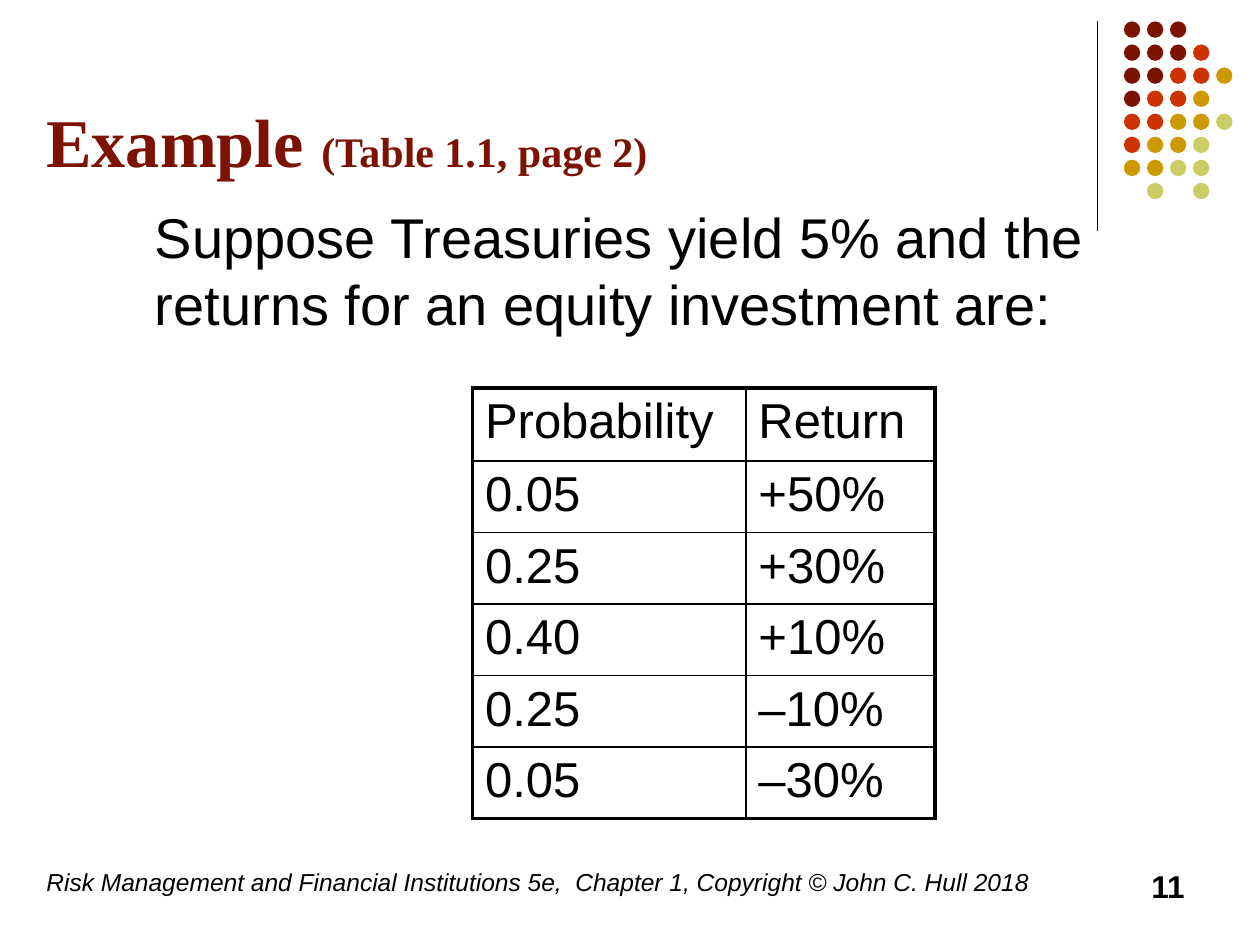
from dataclasses import dataclass

from lxml.etree import SubElement
from pptx import Presentation
from pptx.dml.color import RGBColor
from pptx.enum.shapes import MSO_CONNECTOR as Connector, MSO_SHAPE as Shape
from pptx.enum.text import MSO_ANCHOR as Anchor, PP_ALIGN as Align
from pptx.oxml.ns import qn
from pptx.slide import Slide
from pptx.table import _Cell as Cell
from pptx.util import Inches, Pt

COLORS = {
    "black": "000000",
    "maroon": "7C1302",
    "red": "CC3300",
    "gold": "CC9900",
    "olive": "CCCC66",
}
DOT_COLORS = {"m": "maroon", "r": "red", "g": "gold", "o": "olive"}
DOT_ROWS = ["mmm", "mmmr", "mmrrg", "mrrg", "rrggo", "rggo", "ggoo", " o o"]
DOT_LEFT, DOT_TOP, DOT_PITCH, DOT_SIZE = 8.92, 0.17, 0.183, 0.13

RETURNS = [
    ("Probability", "Return"),
    ("0.05", "+50%"),
    ("0.25", "+30%"),
    ("0.40", "+10%"),
    ("0.25", "\u201310%"),
    ("0.05", "\u201330%"),
]
COLUMN_WIDTHS = (2.17, 1.5)
HEADER_HEIGHT, ROW_HEIGHT = 0.58, 0.49
OUTER_LINE, INNER_LINE = 2.25, 1


@dataclass
class TextBlock:
    """A one-paragraph text box; each run is a text and its size."""
    box: tuple[float, float, float, float]
    runs: list[tuple[str, float]]
    font: str = "Arial"
    color: str = "black"
    bold: bool = False
    italic: bool = False
    align: Align = Align.LEFT
    anchor: Anchor = Anchor.TOP
    indent: float = 0
    space_before: float = 0


TEXT_BLOCKS = [
    TextBlock((0.27, 0.55, 8.5, 0.94),
              [("Example ", 39), ("(Table 1.1, page 2)", 24)],
              font="Times New Roman", color="maroon", bold=True,
              anchor=Anchor.BOTTOM),
    TextBlock((0.75, 1.56, 8.5, 1.4),
              [("Suppose Treasuries yield 5% and the returns "
                "for an equity investment are:", 32)],
              indent=0.38, space_before=3),
    TextBlock((0.27, 6.83, 8.27, 0.5),
              [("Risk Management and Financial Institutions 5e,  Chapter 1, "
                "Copyright \u00a9 John C. Hull 2018", 14)], italic=True),
    TextBlock((8.5, 6.83, 1, 0.5), [("11", 18)], bold=True, align=Align.RIGHT),
]


def rgb(name: str) -> RGBColor:
    """Return a named colour."""
    return RGBColor.from_string(COLORS[name])


def add_text(slide: Slide, block: TextBlock) -> None:
    """Draw one text block."""
    frame = slide.shapes.add_textbox(*map(Inches, block.box)).text_frame
    frame.word_wrap = True
    frame.vertical_anchor = block.anchor
    frame.margin_left = Inches(0.1 + block.indent)
    paragraph = frame.paragraphs[0]
    paragraph.alignment = block.align
    paragraph.space_before = Pt(block.space_before)
    font = paragraph.font
    font.name, font.bold, font.italic = block.font, block.bold, block.italic
    font.color.rgb = rgb(block.color)
    for text, size in block.runs:
        run = paragraph.add_run()
        run.text = text
        run.font.size = Pt(size)


def add_divider(slide: Slide) -> None:
    """Draw the thin line left of the dots."""
    line = slide.shapes.add_connector(
        Connector.STRAIGHT, Inches(8.71), Inches(0.17), Inches(8.71), Inches(1.83))
    line.line.color.rgb = rgb("black")
    line.line.width = Pt(0.75)
    SubElement(line._element.spPr, qn("a:effectLst"))


def add_dots(slide: Slide) -> None:
    """Draw the corner grid of coloured dots as a group."""
    group = slide.shapes.add_group_shape()
    for row, keys in enumerate(DOT_ROWS):
        for column, key in enumerate(keys):
            if key == " ":
                continue
            dot = group.shapes.add_shape(
                Shape.OVAL,
                Inches(DOT_LEFT + column * DOT_PITCH),
                Inches(DOT_TOP + row * DOT_PITCH),
                Inches(DOT_SIZE), Inches(DOT_SIZE))
            dot.shadow.inherit = False
            dot.fill.solid()
            dot.fill.fore_color.rgb = rgb(DOT_COLORS[key])
            dot.line.fill.background()


def set_borders(cell: Cell, outer_sides: dict[str, bool]) -> None:
    """Line a cell on each side, thicker on the table's outer edge."""
    properties = cell._tc.get_or_add_tcPr()
    for index, (side, is_outer) in enumerate(outer_sides.items()):
        width = Pt(OUTER_LINE if is_outer else INNER_LINE)
        border = properties.makeelement(qn(f"a:ln{side}"), {"w": str(width)})
        fill = SubElement(border, qn("a:solidFill"))
        SubElement(fill, qn("a:srgbClr"), val=COLORS["black"])
        properties.insert(index, border)


def add_returns_table(slide: Slide) -> None:
    """Draw the table of probabilities and returns."""
    last_row, last_column = len(RETURNS) - 1, len(COLUMN_WIDTHS) - 1
    height = HEADER_HEIGHT + last_row * ROW_HEIGHT
    table = slide.shapes.add_table(
        len(RETURNS), len(COLUMN_WIDTHS), Inches(3.75), Inches(3.08),
        Inches(sum(COLUMN_WIDTHS)), Inches(height)).table
    table.first_row = table.horz_banding = False
    for column, width in zip(table.columns, COLUMN_WIDTHS):
        column.width = Inches(width)
    for row, values in enumerate(RETURNS):
        table.rows[row].height = Inches(ROW_HEIGHT if row else HEADER_HEIGHT)
        for column, value in enumerate(values):
            cell = table.cell(row, column)
            cell.text = value
            cell.fill.background()
            font = cell.text_frame.paragraphs[0].font
            font.name, font.size = "Arial", Pt(28)
            font.color.rgb = rgb("black")
            set_borders(cell, {"L": column == 0, "R": column == last_column,
                               "T": row == 0, "B": row == last_row})


def main() -> None:
    """Build and save the slide."""
    presentation = Presentation()
    presentation.slide_width, presentation.slide_height = Inches(10), Inches(7.5)
    slide = presentation.slides.add_slide(presentation.slide_layouts[6])
    add_divider(slide)
    add_dots(slide)
    for block in TEXT_BLOCKS:
        add_text(slide, block)
    add_returns_table(slide)
    presentation.save("out.pptx")


main()
